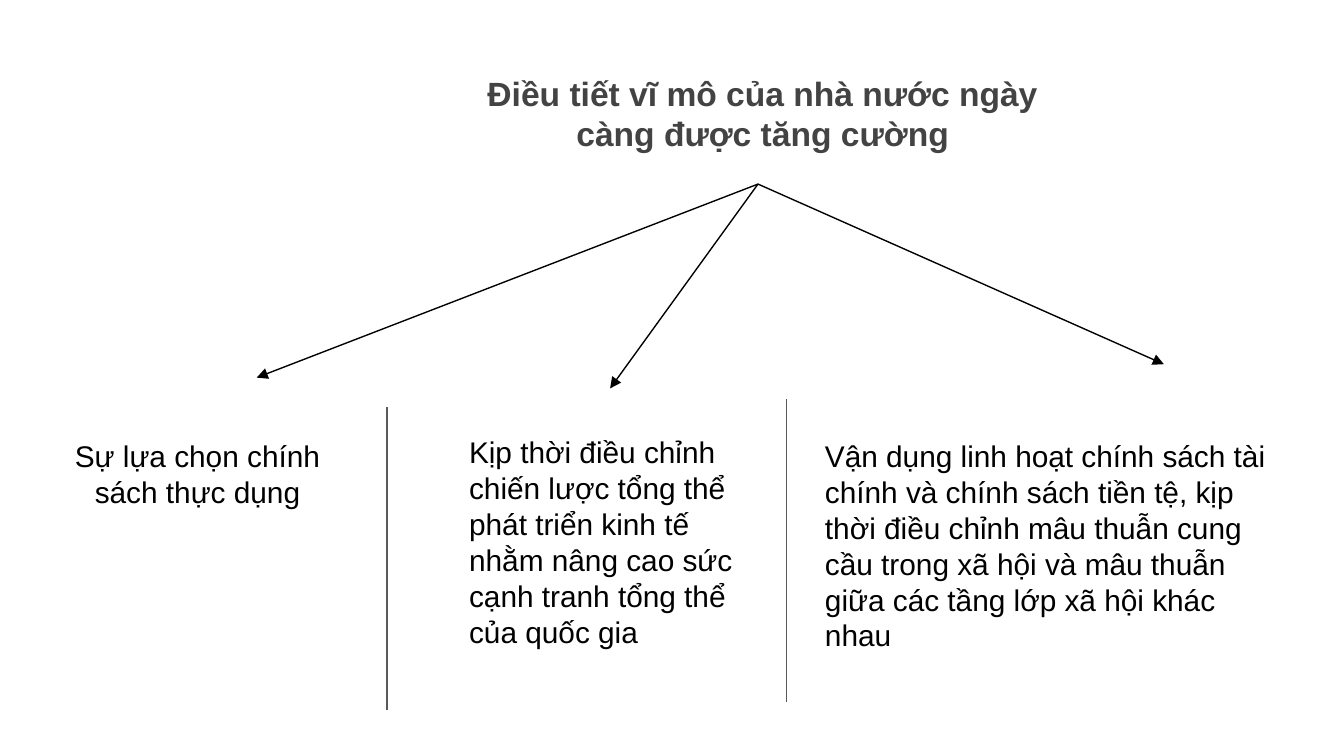
import pptx
import pptx.dml.color
import pptx.enum.shapes
import pptx.enum.text
import pptx.oxml.ns
import pptx.util
import lxml.etree

Inches = pptx.util.Inches
ALIGN = pptx.enum.text.PP_ALIGN


def colour(value):
    """Turn a hex string into a colour."""
    return pptx.dml.color.RGBColor.from_string(value)


def write(shape, text, size, shade, align, inset, bold=False, indent=0):
    """Fill a shape with one formatted paragraph."""
    frame = shape.text_frame
    frame.text = text
    frame.word_wrap = True
    frame.auto_size = pptx.enum.text.MSO_AUTO_SIZE.NONE
    frame.vertical_anchor = pptx.enum.text.MSO_ANCHOR.TOP
    frame.margin_left = frame.margin_right = Inches(0.1)
    frame.margin_top = frame.margin_bottom = Inches(inset)
    para = frame.paragraphs[0]
    para.alignment = align
    para.space_before = pptx.util.Pt(0)
    para.font.name = "Arial"
    para.font.size = pptx.util.Pt(size)
    para.font.bold = bold
    para.font.color.rgb = colour(shade)
    properties = para._p.get_or_add_pPr()
    properties.set("marL", str(Inches(indent)))
    properties.set("indent", "0")


def place(shape, box):
    """Move a shape to a box of left, top, width and height."""
    shape.left, shape.top, shape.width, shape.height = map(Inches, box)


def add_line(page, start, end, shade, arrow=False):
    """Draw a thin straight line, with an arrowhead at its end if asked."""
    line = page.shapes.add_connector(
        pptx.enum.shapes.MSO_CONNECTOR.STRAIGHT,
        *map(Inches, (*start, *end)))
    line.line.color.rgb = colour(shade)
    line.line.width = pptx.util.Pt(0.75)
    if arrow:
        lxml.etree.SubElement(line.line._get_or_add_ln(),
                              pptx.oxml.ns.qn("a:tailEnd"), type="triangle")
    lxml.etree.SubElement(line._element.spPr, pptx.oxml.ns.qn("a:effectLst"))


def add_heading(page, box):
    """Place the title and the arrows that fan out below it."""
    place(page.shapes.title, box)
    write(page.shapes.title,
          "Điều tiết vĩ mô của nhà nước ngày càng được tăng cường",
          18, "434343", ALIGN.CENTER, 0.1, bold=True)
    left, top = box[:2]
    for across, down in ((-1.33, 2.37), (1.3, 2.45), (5.42, 2.27)):
        add_line(page, (left + 2.4, top + 0.93),
                 (left + across, top + down), "000000", arrow=True)


def add_column(page, box, text, align):
    """Place a plain text column."""
    column = page.shapes.add_textbox(*map(Inches, box))
    write(column, text, 16, "000000", align, 0.05)


def add_middle_column(page, box):
    """Place the subtitle as the middle column, with a divider on each side."""
    place(page.placeholders[1], box)
    write(page.placeholders[1],
          "Kịp thời điều chỉnh chiến lược tổng thể phát triển kinh tế "
          "nhằm nâng cao sức cạnh tranh tổng thể của quốc gia",
          16, "000000", ALIGN.LEFT, 0.1, indent=0.17)
    left, top, width, height = box
    for x, y in ((left - 0.34, top - 0.1), (left + width + 0.22, top - 0.16)):
        add_line(page, (x, y), (x, y + 2.25), "595959")


def main():
    """Build and save the deck."""
    deck = pptx.Presentation()
    deck.slide_width = Inches(10)
    deck.slide_height = deck.slide_width * 9 // 16
    page = deck.slides.add_slide(deck.slide_layouts[0])
    page.background.fill.solid()
    page.background.fill.fore_color.rgb = colour("FFFFFF")
    add_heading(page, (3.24, 0.44, 4.87, 1.03))
    add_column(page, (0.23, 3.21, 2.48, 0.64),
               "Sự lựa chọn chính sách thực dụng", ALIGN.CENTER)
    add_middle_column(page, (3.22, 3.13, 2.41, 2.21))
    add_column(page, (6.04, 3.21, 3.57, 1.99),
               "Vận dụng linh hoạt chính sách tài chính và chính sách tiền tệ, "
               "kịp thời điều chỉnh mâu thuẫn cung cầu trong xã hội và "
               "mâu thuẫn giữa các tầng lớp xã hội khác nhau", ALIGN.LEFT)
    deck.save("out.pptx")


if __name__ == "__main__":
    main()
